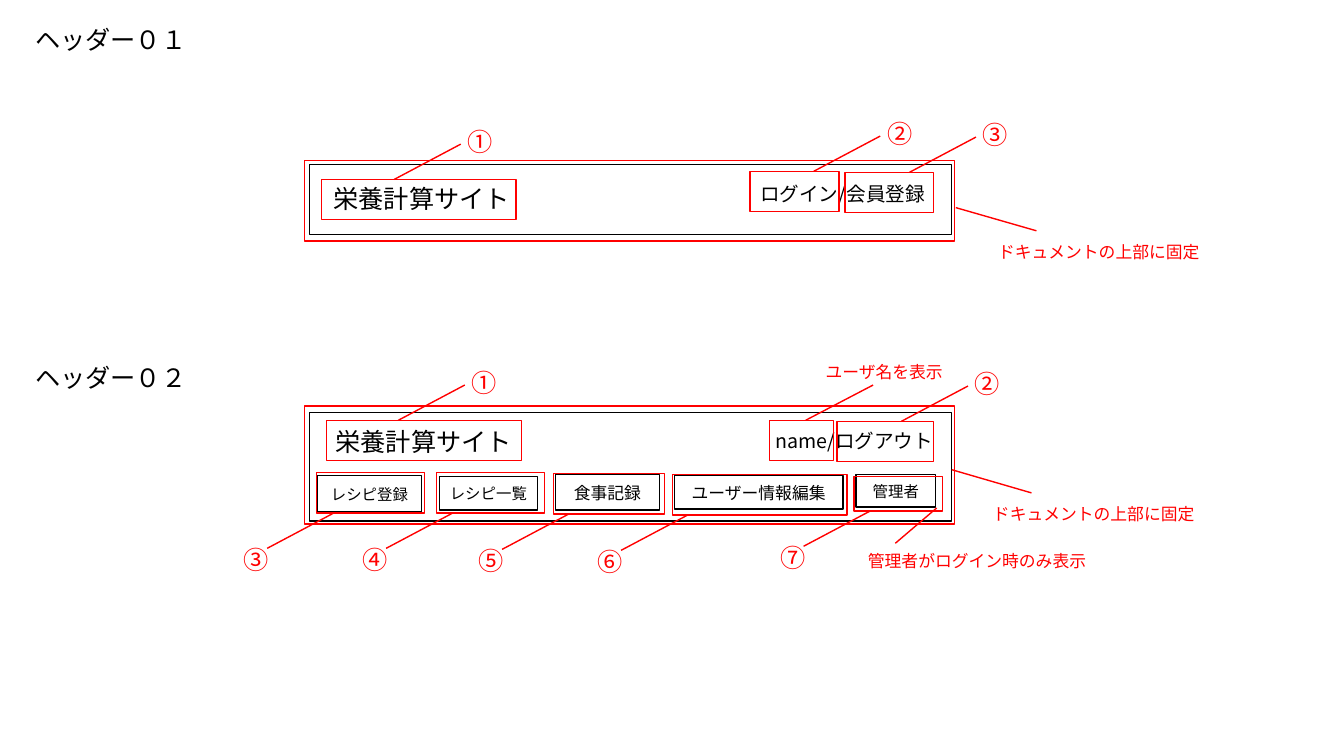
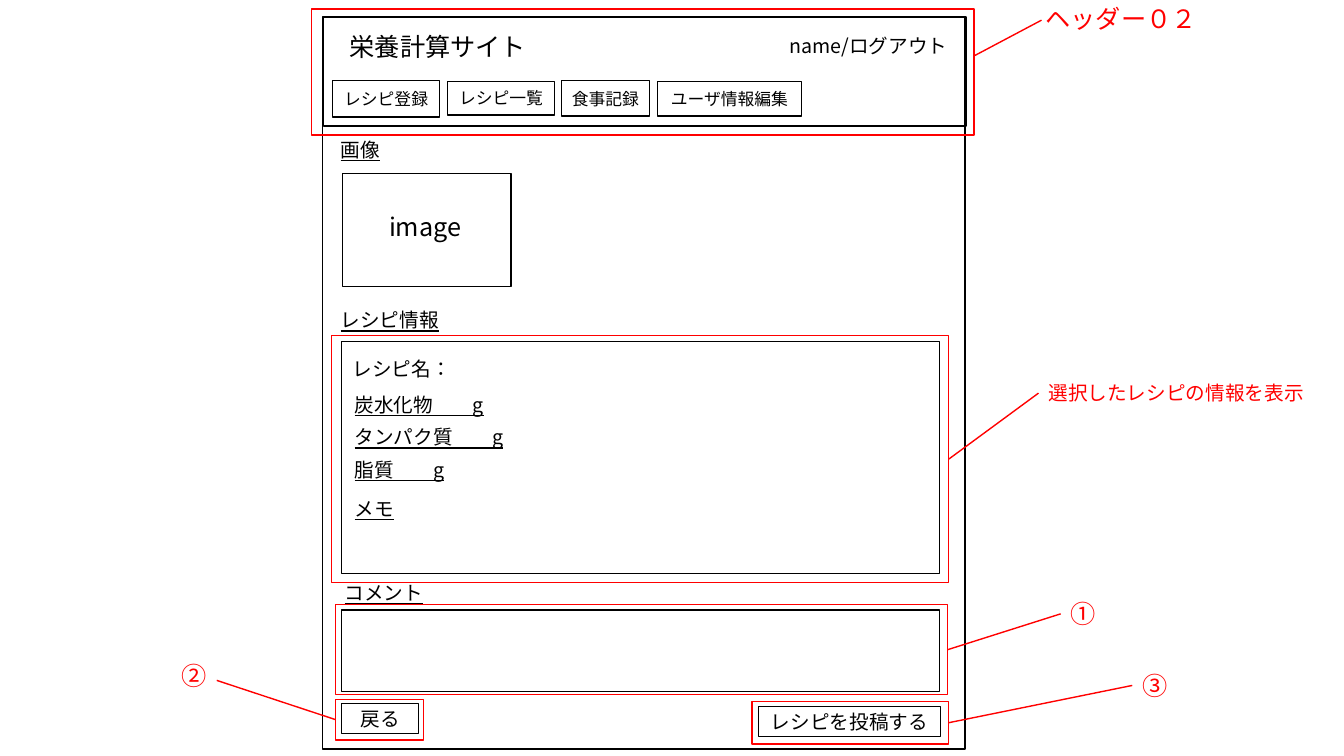
import pptx
import pptx.dml.color
import pptx.enum.lang
import pptx.enum.shapes
import pptx.enum.text
import pptx.oxml.ns
import pptx.util
from dataclasses import dataclass
from lxml import etree
from pptx.util import Inches


@dataclass(frozen=True)
class Theme:
    font: str = "Noto Sans CJK JP"
    ink: str = "000000"
    mark: str = "FF0000"
    line: float = 1
    heading: int = 18
    body: int = 14
    note: int = 12
    small: int = 11


THEME = Theme()
TEXT_HEIGHT = {THEME.heading: 0.4, THEME.body: 0.34, THEME.note: 0.3}
TOP, LEFT, BOTTOM, RIGHT = range(4)
HEADER_WIDTH = 6.37
LEADER_DX, LEADER_DY = 0.66, 0.35

SITE_NAME = "栄養計算サイト"
GUEST_HEADER = dict(height=0.7, name_at=(0.14, 0.14), account="ログイン/会員登録",
                    account_at=(4.37, 0.13), account_width=2)
MEMBER_HEADER = dict(height=1.08, name_at=(0.16, 0.09), account="name/ログアウト",
                     account_at=(4.52, 0.12), account_width=1.87)

HEADER_TITLES = [("ヘッダー０１", 0.25, 0.19), ("ヘッダー０２", 0.25, 3.55)]
HEADER_FRAMES = [(3.02, 1.59, 6.45, 0.8), (3.02, 4.03, 6.45, 1.17)]
HEADER_BUTTONS = [
    ("レシピ登録", (3.15, 4.72, 1.03, 0.36), THEME.small),
    ("レシピ一覧", (4.36, 4.73, 0.97, 0.33), THEME.small),
    ("食事記録", (5.51, 4.71, 1.03, 0.35), THEME.note),
    ("ユーザー情報編集", (6.69, 4.72, 1.67, 0.33), THEME.note),
    ("管理者", (8.49, 4.71, 0.79, 0.32), THEME.small),
]
MARKS_ABOVE = [
    ("①", (3.19, 1.78, 1.93, 0.4), 3.91),
    ("②", (7.44, 1.7, 0.88, 0.4), 8.07),
    ("③", (8.38, 1.71, 0.88, 0.4), 9.02),
    ("①", (3.24, 4.17, 1.93, 0.4), 3.95),
    ("②", (8.3, 4.18, 0.96, 0.4), 8.94),
]
MARKS_BELOW = [
    ("③", (3.14, 4.69, 1.07, 0.4), 3.31),
    ("④", (4.33, 4.69, 1.07, 0.4), 4.49),
    ("⑤", (5.49, 4.7, 1.1, 0.4), 5.64),
    ("⑥", (6.67, 4.71, 1.73, 0.4), 6.82),
    ("⑦", (8.47, 4.73, 0.88, 0.34), 8.63),
]
USER_NAME_FRAME = (7.63, 4.17, 0.64, 0.4)
HEADER_NOTES = [
    ("ユーザ名を表示", (8.09, 3.54), (7.99, 4.17), (8.66, 3.82)),
    ("管理者がログイン時のみ表示", (8.51, 5.41), (9.29, 5.04), (8.88, 5.39)),
    ("ドキュメントの上部に固定", (9.8, 2.35), (9.48, 2.06), (10.28, 2.29)),
    ("ドキュメントの上部に固定", (9.75, 4.95), (9.44, 4.66), (10.23, 4.89)),
]

PAGE_FRAMES = [
    (3.2, 0.17, HEADER_WIDTH, 7.26),
    (3.4, 1.72, 1.67, 1.12),
    (3.39, 3.39, 5.93, 2.3),
    (3.39, 6.05, 5.93, 0.81),
]
PAGE_BUTTONS = [
    ("レシピ登録", (3.3, 0.8, 1.06, 0.36), THEME.note),
    ("レシピ一覧", (4.44, 0.81, 1.06, 0.33), THEME.note),
    ("食事記録", (5.57, 0.8, 0.87, 0.35), THEME.note),
    ("ユーザ情報編集", (6.52, 0.81, 1.43, 0.34), THEME.note),
    ("レシピを投稿する", (7.52, 7.01, 1.81, 0.3), THEME.body),
    ("戻る", (3.39, 6.98, 0.76, 0.3), THEME.body),
]
UNDERLINED_LABELS = [
    ("画像", 3.28, 1.32, 0.81),
    ("レシピ情報", 3.28, 3.01, 1.67),
    ("炭水化物　　g", 3.42, 3.85, 1.57),
    ("タンパク質　　g", 3.42, 4.17, 1.86),
    ("脂質　　g", 3.42, 4.49, 1.57),
    ("メモ", 3.42, 4.88, 1.17),
    ("コメント", 3.32, 5.71, 1.67),
]
PAGE_HEADER_FRAME = (3.09, 0.09, 6.57, 1.25)
PAGE_MARKS = [
    ("選択したレシピの情報を表示", THEME.body, (3.29, 3.33, 6.12, 2.45), RIGHT, (10.3, 3.9), (10.3, 3.73)),
    ("①", THEME.heading, (3.33, 6, 6.07, 0.89), RIGHT, (10.52, 6.09), (10.52, 5.89)),
    ("②", THEME.heading, (3.33, 6.94, 0.87, 0.4), LEFT, (2.15, 6.75), (1.7, 6.5)),
    ("③", THEME.heading, (7.46, 6.96, 1.95, 0.42), RIGHT, (11.23, 6.8), (11.23, 6.6)),
]


def rgb(color):
    return pptx.dml.color.RGBColor.from_string(color)


def style_line(item, color):
    item.line.color.rgb = rgb(color)
    item.line.width = pptx.util.Pt(THEME.line)


def write(frame, text, size, color, underline=None):
    paragraph = frame.paragraphs[0]
    paragraph.text = text
    font = paragraph.font
    font.size = pptx.util.Pt(size)
    font.name = THEME.font
    font.color.rgb = rgb(color)
    font.underline = underline
    font.language_id = pptx.enum.lang.MSO_LANGUAGE_ID.JAPANESE
    defaults = paragraph._p.get_or_add_pPr().get_or_add_defRPr()
    etree.SubElement(defaults, pptx.oxml.ns.qn("a:ea"), typeface=THEME.font)
    return paragraph


def add_label(slide, text, left, top, size, width=None, color=THEME.ink, underline=None):
    box_width = width or len(text) * size / 72 + 0.22
    label = slide.shapes.add_textbox(
        Inches(left), Inches(top), Inches(box_width), Inches(TEXT_HEIGHT[size]))
    label.text_frame.word_wrap = width is not None
    label.text_frame.auto_size = pptx.enum.text.MSO_AUTO_SIZE.SHAPE_TO_FIT_TEXT
    write(label.text_frame, text, size, color, underline)


def add_frame(slide, area, color=THEME.ink):
    frame = slide.shapes.add_shape(
        pptx.enum.shapes.MSO_SHAPE.RECTANGLE, *map(Inches, area))
    frame.shadow.inherit = False
    frame.fill.background()
    style_line(frame, color)
    return frame


def add_button(slide, text, area, size):
    text_frame = add_frame(slide, area).text_frame
    text_frame.word_wrap = True
    text_frame.vertical_anchor = pptx.enum.text.MSO_ANCHOR.MIDDLE
    write(text_frame, text, size, THEME.ink).alignment = pptx.enum.text.PP_ALIGN.CENTER


def add_leader(slide, start, end):
    leader = slide.shapes.add_connector(
        pptx.enum.shapes.MSO_CONNECTOR.STRAIGHT, *map(Inches, (*start, *end)))
    style_line(leader, THEME.mark)
    etree.SubElement(leader._element.spPr, pptx.oxml.ns.qn("a:effectLst"))
    return leader


def add_site_header(slide, left, top, height, name_at, account, account_at, account_width):
    add_frame(slide, (left, top, HEADER_WIDTH, height))
    add_label(slide, SITE_NAME, left + name_at[0], top + name_at[1], THEME.heading, 2)
    add_label(slide, account, left + account_at[0], top + account_at[1],
              THEME.body, account_width)


def add_numbered_mark(slide, number, area, x, above):
    add_frame(slide, area, THEME.mark)
    if above:
        y = area[1]
        end = (x + LEADER_DX, y - LEADER_DY)
        number_at = (end[0] - 0.03, end[1] - 0.23)
    else:
        y = area[1] + area[3]
        end = (x - LEADER_DX, y + LEADER_DY)
        number_at = (end[0] - 0.33, end[1] - 0.09)
    add_leader(slide, (x, y), end)
    add_label(slide, number, *number_at, THEME.heading, color=THEME.mark)


def build_headers(slide):
    for text, left, top in HEADER_TITLES:
        add_label(slide, text, left, top, THEME.heading)
    add_site_header(slide, 3.07, 1.63, **GUEST_HEADER)
    add_site_header(slide, 3.07, 4.09, **MEMBER_HEADER)
    for button in HEADER_BUTTONS:
        add_button(slide, *button)
    for area in (*HEADER_FRAMES, USER_NAME_FRAME):
        add_frame(slide, area, THEME.mark)
    for marks, above in ((MARKS_ABOVE, True), (MARKS_BELOW, False)):
        for number, area, x in marks:
            add_numbered_mark(slide, number, area, x, above)
    for text, text_at, start, end in HEADER_NOTES:
        add_leader(slide, start, end)
        add_label(slide, text, *text_at, THEME.note, color=THEME.mark)


def build_recipe_page(slide):
    for area in PAGE_FRAMES:
        add_frame(slide, area)
    add_site_header(slide, 3.21, 0.17, **MEMBER_HEADER)
    for button in PAGE_BUTTONS:
        add_button(slide, *button)
    add_label(slide, "image", 3.76, 2.05, THEME.heading, 1.01)
    add_label(slide, "レシピ名：", 3.4, 3.49, THEME.body, 1.87)
    for text, left, top, width in UNDERLINED_LABELS:
        add_label(slide, text, left, top, THEME.body, width, underline=True)
    add_frame(slide, PAGE_HEADER_FRAME, THEME.mark)
    add_leader(slide, (9.67, 0.55), (10.33, 0.2))
    add_label(slide, "ヘッダー０２", 10.27, -0.02, THEME.heading, color=THEME.mark)
    for text, size, area, side, end, text_at in PAGE_MARKS:
        frame = add_frame(slide, area, THEME.mark)
        left, top, width, height = area
        start = (left + width if side == RIGHT else left, top + height / 2)
        add_leader(slide, start, end).begin_connect(frame, side)
        add_label(slide, text, *text_at, size, color=THEME.mark)


def main():
    deck = pptx.Presentation()
    deck.slide_width, deck.slide_height = Inches(13.33), Inches(7.5)
    for build in (build_headers, build_recipe_page):
        build(deck.slides.add_slide(deck.slide_layouts[6]))
    deck.save("out.pptx")


if __name__ == "__main__":
    main()
